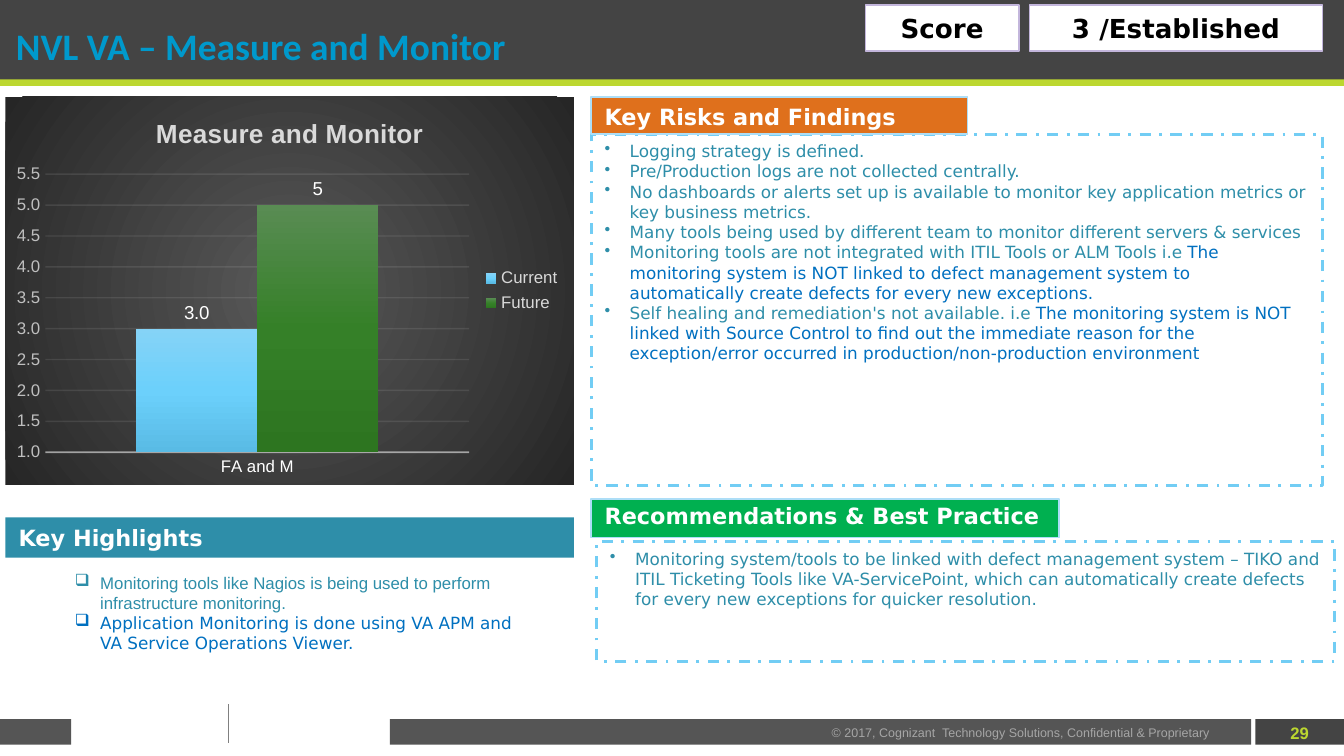
from dataclasses import dataclass

from lxml import etree
from pptx import Presentation
from pptx.chart.data import CategoryChartData
from pptx.dml.color import RGBColor
from pptx.enum import chart as charts, dml, shapes, text
from pptx.oxml import ns, parse_xml
from pptx.util import Pt


@dataclass(frozen=True)
class Theme:
    sans: str = "Arial"
    wide: str = "DejaVu Sans"
    heading: str = "Calibri"
    white: str = "FFFFFF"
    black: str = "000000"
    dark: str = "444444"
    footer: str = "555555"
    lime: str = "BCD730"
    gray: str = "808080"
    caption: str = "A6A6A6"
    title: str = "0099CC"
    teal: str = "2E8EA9"
    blue: str = "0070C0"
    orange: str = "DF701C"
    green: str = "00B050"
    lilac: str = "C3B6DC"
    sky: str = "72CDF4"
    pale: str = "ADDEF7"
    grid: str = "F2F2F2"
    axis_text: str = "BFBFBF"
    chart_text: str = "D9D9D9"
    chart_back: tuple = ((0, "595959"), (100, "262626"))
    current: tuple = ((0, "85D3F7"), (50, "6CD0FB"), (100, "59BBE5"))
    future: tuple = ((0, "598C53"), (50, "358028"), (100, "2D7520"))
    title_size: float = 20
    score_size: float = 14
    heading_size: float = 12
    label_size: float = 10
    body_size: float = 9
    number_size: float = 8.9
    caption_size: float = 6.7


THEME = Theme()

FINDINGS = [
    ["Logging strategy is defined."],
    ["Pre/Production logs are not collected centrally."],
    ["No dashboards or alerts set up is available to monitor key application metrics or key business metrics."],
    ["Many tools being used by different team to monitor different servers & services"],
    ["Monitoring tools are not integrated with ITIL Tools or ALM Tools i.e ",
     "The monitoring system is NOT linked to defect management system to automatically create defects "
     "for every new exceptions."],
    ["Self healing and remediation's not available. i.e ",
     "The monitoring system is NOT linked with Source Control to find out the immediate reason for the "
     "exception/error occurred in production/non-production environment"],
]
HIGHLIGHTS = [
    ["Monitoring tools like Nagios is being used to perform infrastructure monitoring."],
    ["Application Monitoring is done using VA APM and VA Service Operations Viewer."],
]
RECOMMENDATIONS = [
    ["Monitoring system/tools to be linked with defect management system – TIKO and ITIL Ticketing Tools "
     "like VA-ServicePoint, which can automatically create defects for every new exceptions for quicker resolution."],
]


def style_font(font, size, color, name=THEME.wide, bold=False):
    font.size, font.name, font.bold = Pt(size), name, bold
    font.color.rgb = RGBColor.from_string(color)


def add_box(slide, bounds, fill=None, line=None, width=1, dash=None):
    shape = slide.shapes.add_shape(shapes.MSO_SHAPE.RECTANGLE, *map(Pt, bounds))
    shape.shadow.inherit = False
    if fill:
        shape.fill.solid()
        shape.fill.fore_color.rgb = RGBColor.from_string(fill)
    else:
        shape.fill.background()
    if line:
        shape.line.color.rgb = RGBColor.from_string(line)
        shape.line.width = Pt(width)
        shape.line.dash_style = dash
    else:
        shape.line.fill.background()
    return shape


def add_text_box(slide, bounds, wrap=True):
    shape = slide.shapes.add_textbox(*map(Pt, bounds))
    shape.text_frame.word_wrap = wrap
    return shape


def write(shape, content, size, color, name=THEME.wide, bold=True,
          align=text.PP_ALIGN.LEFT, anchor=text.MSO_ANCHOR.TOP):
    frame = shape.text_frame
    frame.text = content
    frame.vertical_anchor = anchor
    frame.paragraphs[0].alignment = align
    style_font(frame.paragraphs[0].runs[0].font, size, color, name, bold)


def write_bullets(shape, items, mark, styles):
    frame = shape.text_frame
    frame.vertical_anchor = text.MSO_ANCHOR.TOP
    for index, parts in enumerate(items):
        paragraph = frame.paragraphs[0] if index == 0 else frame.add_paragraph()
        paragraph.alignment = text.PP_ALIGN.LEFT
        properties = paragraph._p.get_or_add_pPr()
        properties.set("marL", str(Pt(13.5)))
        properties.set("indent", str(-Pt(13.5)))
        etree.SubElement(properties, ns.qn("a:buChar")).set("char", mark)
        for part, (color, name) in zip(parts, styles(index)):
            run = paragraph.add_run()
            run.text = part
            style_font(run.font, THEME.body_size, color, name)


def add_divider(slide, x, top, bottom):
    connector = slide.shapes.add_connector(shapes.MSO_CONNECTOR.STRAIGHT, Pt(x), Pt(top), Pt(x), Pt(bottom))
    connector.line.color.rgb = RGBColor.from_string(THEME.gray)
    connector.line.width = Pt(1)
    etree.SubElement(connector._element.spPr, ns.qn("a:effectLst"))


def gradient(stops, direction):
    marks = "".join(f'<a:gs pos="{position * 1000}"><a:srgbClr val="{color}"/></a:gs>' for position, color in stops)
    return f'<a:gradFill {ns.nsdecls("a")} rotWithShape="1"><a:gsLst>{marks}</a:gsLst>{direction}</a:gradFill>'


def style_axis(axis, color):
    axis.major_tick_mark = axis.minor_tick_mark = charts.XL_TICK_MARK.NONE
    style_font(axis.tick_labels.font, THEME.body_size, color, THEME.sans)


def style_line(line, width):
    line.color.rgb = RGBColor.from_string(THEME.grid)
    line.width = Pt(width)


def add_score_chart(slide, bounds):
    data = CategoryChartData()
    data.categories = ["FA and M"]
    data.add_series("Current", [3], "0.0")
    data.add_series("Future", [5], "General")
    chart = slide.shapes.add_chart(charts.XL_CHART_TYPE.COLUMN_CLUSTERED, *map(Pt, bounds), data).chart
    style_font(chart.font, THEME.label_size, THEME.black, THEME.sans)
    chart.has_title = True
    chart.chart_title.text_frame.text = "Measure and Monitor"
    style_font(chart.chart_title.text_frame.paragraphs[0].runs[0].font,
               THEME.score_size, THEME.chart_text, THEME.sans, True)
    chart.has_legend = True
    chart.legend.position = charts.XL_LEGEND_POSITION.RIGHT
    chart.legend.include_in_layout = False
    style_font(chart.legend.font, THEME.body_size, THEME.chart_text, THEME.sans)

    style_axis(chart.category_axis, THEME.white)
    style_line(chart.category_axis.format.line, 1)
    axis = chart.value_axis
    style_axis(axis, THEME.axis_text)
    axis.minimum_scale, axis.maximum_scale, axis.major_unit = 1, 5.5, 0.5
    axis.tick_labels.number_format = "0.0"
    axis.tick_labels.number_format_is_linked = False
    axis.format.line.fill.background()
    style_line(axis.major_gridlines.format.line, 0.75)

    plot = chart.plots[0]
    plot.gap_width, plot.overlap, plot.vary_by_categories = 150, 0, False
    for series, stops, number_format in zip(plot.series, (THEME.current, THEME.future), ("0.0", "General")):
        series.format.fill.solid()
        solid = series._element.spPr.find(ns.qn("a:solidFill"))
        solid.getparent().replace(solid, parse_xml(gradient(stops, '<a:lin ang="5400000" scaled="0"/>')))
        labels = series.data_labels
        labels.show_value = True
        labels.number_format, labels.number_format_is_linked = number_format, False
        labels.position = charts.XL_LABEL_POSITION.OUTSIDE_END
        style_font(labels.font, THEME.label_size, THEME.white, THEME.sans)

    root = chart.element
    for target, opacity in (("c:catAx/c:spPr", 54), ("c:valAx/c:majorGridlines", 10)):
        for color in root.xpath(f".//{target}//a:srgbClr"):
            etree.SubElement(color, ns.qn("a:alpha")).set("val", str(opacity * 1000))
    center = '<a:path path="circle"><a:fillToRect l="50000" t="50000" r="50000" b="50000"/></a:path>'
    root.find(ns.qn("c:chart")).addnext(parse_xml(
        f'<c:spPr {ns.nsdecls("c", "a")}>{gradient(THEME.chart_back, center)}<a:ln><a:noFill/></a:ln></c:spPr>'))


def add_frame(slide):
    for bounds, color in (
        ((672.5, 385.2, 48.2, 13.7), THEME.dark),
        ((208.8, 385.2, 461.5, 13.7), THEME.footer),
        ((0, 0, 720.7, 43.2), THEME.dark),
        ((0, 385.2, 38.2, 13.7), THEME.footer),
        ((0, 42.5, 720.7, 3.6), THEME.lime),
    ):
        add_box(slide, bounds, color)
    middle, center = text.MSO_ANCHOR.MIDDLE, text.PP_ALIGN.CENTER
    write(add_text_box(slide, (680.4, 384.5, 31.7, 16.6), False), "29", THEME.number_size,
          THEME.lime, THEME.sans, align=center, anchor=middle)
    write(add_text_box(slide, (438.5, 385.9, 220.3, 13)),
          "© 2017, Cognizant  Technology Solutions, Confidential & Proprietary",
          THEME.caption_size, THEME.caption, THEME.sans, False, anchor=middle)
    add_divider(slide, 122.4, 377.3, 398.2)
    title = add_text_box(slide, (8.6, 6.5, 666.7, 36))
    title.text_frame.margin_left = title.text_frame.margin_right = 0
    write(title, "NVL VA – Measure and Monitor", THEME.title_size, THEME.title, THEME.heading, anchor=middle)
    for left, width, content in ((551.5, 157, "3 /Established"), (463.7, 82.1, "Score")):
        write(add_box(slide, (left, 2.9, width, 24.5), THEME.white, THEME.lilac), content,
              THEME.score_size, THEME.black, align=center, anchor=middle)


def add_heading(slide, content, bar, label, color):
    add_box(slide, bar, color, THEME.pale)
    write(add_text_box(slide, label), content, THEME.heading_size, THEME.white)


def main():
    presentation = Presentation()
    presentation.slide_width, presentation.slide_height = Pt(720), Pt(405)
    slide = presentation.slides.add_slide(presentation.slide_layouts[6])
    add_frame(slide)

    wide_styles = ((THEME.teal, THEME.wide), (THEME.blue, THEME.wide))
    dash = dml.MSO_LINE.DASH_DOT
    findings = add_box(slide, (316.8, 72, 391.7, 188), None, THEME.sky, 1.5, dash)
    write_bullets(findings, FINDINGS, "•", lambda index: wide_styles)
    highlight_styles = ((THEME.teal, THEME.sans), (THEME.blue, THEME.wide))
    write_bullets(add_text_box(slide, (33.1, 303.1, 262.1, 38.9)), HIGHLIGHTS, "❑",
                  lambda index: highlight_styles[index:])
    write(add_box(slide, (2.9, 277.2, 304.6, 21.6), THEME.teal), "Key Highlights", THEME.heading_size, THEME.white)
    add_heading(slide, "Key Risks and Findings", (316.8, 51.8, 201.6, 20.2), (316.8, 51.8, 170.6, 21.6), THEME.orange)
    add_score_chart(slide, (2.9, 51.8, 304.6, 208))
    add_box(slide, (129.6, 365, 69.8, 32.4), THEME.white)
    recommendations = add_box(slide, (319.7, 290.2, 395.3, 64.1), THEME.white, THEME.sky, 1.5, dash)
    write_bullets(recommendations, RECOMMENDATIONS, "•", lambda index: wide_styles)
    add_heading(slide, "Recommendations & Best Practice",
                (316.8, 267.1, 250.6, 20.9), (316.8, 265.7, 262, 21.6), THEME.green)
    presentation.save("out.pptx")


if __name__ == "__main__":
    main()
